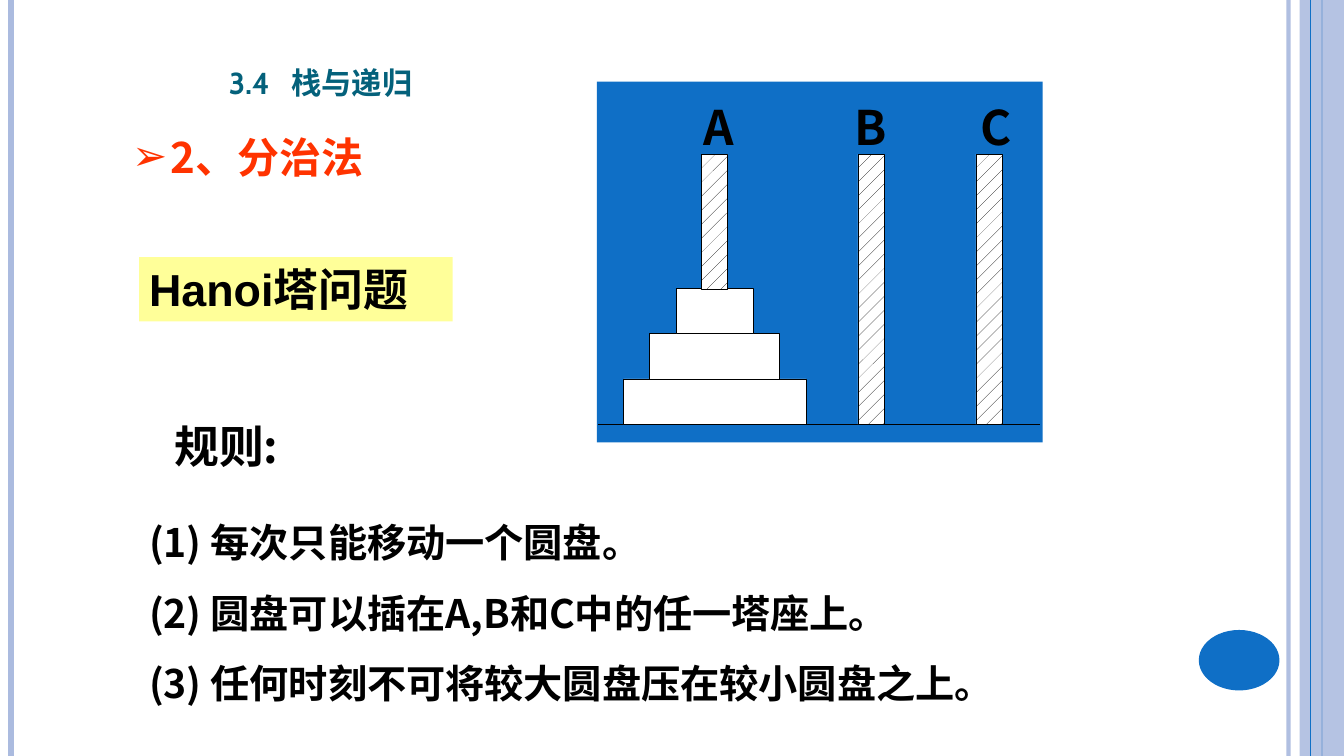
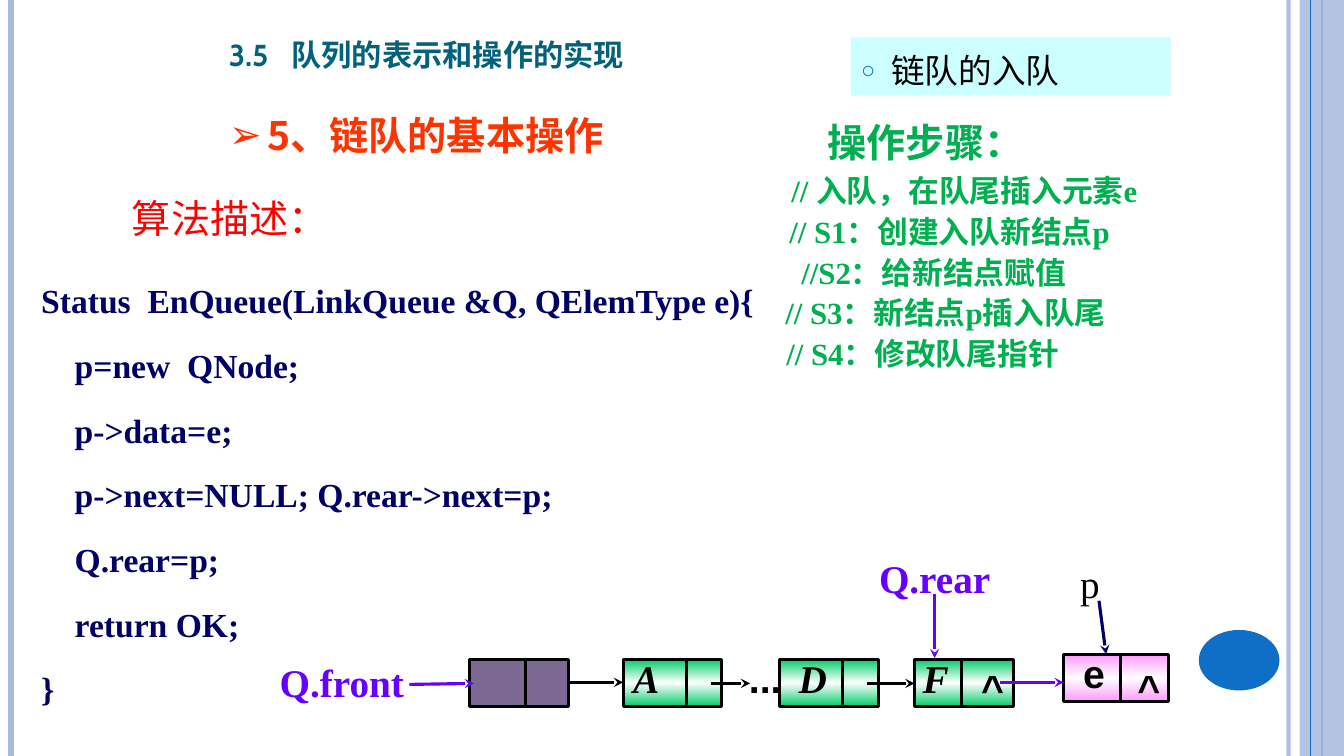
from copy import deepcopy
from dataclasses import dataclass

from lxml.etree import SubElement
from pptx import Presentation
from pptx.dml.color import RGBColor
from pptx.enum.dml import MSO_PATTERN
from pptx.enum.shapes import MSO_CONNECTOR, MSO_SHAPE
from pptx.enum.text import MSO_ANCHOR, MSO_AUTO_SIZE, PP_ALIGN
from pptx.oxml.ns import qn
from pptx.util import Pt

PX = 9144  # 100 px to the inch
WIDTH, HEIGHT = 1333, 750


@dataclass(frozen=True)
class Theme:
    # Colours
    black: str = "000000"
    white: str = "FFFFFF"
    blue: str = "0F6FC6"
    pale_blue: str = "ABBBDF"
    teal: str = "04617B"
    orange: str = "FF3300"
    red: str = "FF0000"
    green: str = "00B050"
    navy: str = "000066"
    violet: str = "6600FF"
    yellow: str = "FFFF99"
    cyan: str = "CCFFFF"
    head_node: str = "7B6993"
    data_node: str = "00CC66"
    new_node: str = "FF99FF"
    # Fonts
    cabin: str = "Cabin"
    cjk: str = "Noto Sans CJK SC"
    serif: str = "Times New Roman"
    sans: str = "Arial"
    # Type sizes
    peg: int = 34
    banner: int = 32
    topic: int = 30
    label: int = 28
    title: int = 27
    code: int = 24
    step: int = 22


T = Theme()
INSETS = (10, 5, 10, 5)


def px(*values):
    return [round(v * PX) for v in values]


def style(name, size, color, bold=True, italic=False):
    return dict(name=name, size=Pt(size), bold=bold, italic=italic), color


def apply(target, values):
    for key, value in values.items():
        setattr(target, key, value)


# Text
def write(sp, lines, look, align=PP_ALIGN.LEFT, spacing=1.0, before=0,
          insets=INSETS, anchor=MSO_ANCHOR.TOP):
    tf = sp.text_frame
    sides = ("margin_left", "margin_top", "margin_right", "margin_bottom")
    apply(tf, dict(zip(sides, px(*insets))))
    apply(tf, dict(word_wrap=True, auto_size=MSO_AUTO_SIZE.NONE,
                   vertical_anchor=anchor))
    font, color = look
    for i, line in enumerate(lines):
        p = tf.add_paragraph() if i else tf.paragraphs[0]
        apply(p, dict(alignment=align, line_spacing=spacing,
                      space_before=Pt(before if i else 0)))
        r = p.add_run()
        r.text = line
        apply(r.font, font)
        r.font.color.rgb = RGBColor.from_string(color)
        SubElement(r.font._element, qn("a:ea"), typeface=T.cjk)
    return tf.paragraphs


def text(shapes, box, lines, look, **options):
    sp = shapes.add_textbox(*px(*box))
    return write(sp, lines, look, **options)


def indent(p, left, hang=0):
    pPr = p._p.get_or_add_pPr()
    for key, value in zip(("marL", "indent"), px(left, -hang)):
        pPr.set(key, str(value))
    return pPr


def bullet(p, char, color, hang, percent=100):
    pPr = indent(p, hang, hang)
    SubElement(SubElement(pPr, qn("a:buClr")), qn("a:srgbClr"), val=color)
    SubElement(pPr, qn("a:buSzPct"), val=str(percent * 1000))
    SubElement(pPr, qn("a:buChar"), char=char)


def place(sp, box):
    apply(sp, dict(zip(("left", "top", "width", "height"), px(*box))))


# Shapes and lines
def shape(shapes, box, fill, line=None, kind=MSO_SHAPE.RECTANGLE):
    sp = shapes.add_shape(kind, *px(*box))
    sp.shadow.inherit = False
    sp.fill.solid()
    sp.fill.fore_color.rgb = RGBColor.from_string(fill)
    if line:
        sp.line.color.rgb = RGBColor.from_string(T.black)
        sp.line.width = Pt(line)
    else:
        sp.line.fill.background()
    return sp


def connect(shapes, start, end, color, width, arrow=False):
    sp = shapes.add_connector(MSO_CONNECTOR.STRAIGHT, *px(*start, *end))
    sp.line.color.rgb = RGBColor.from_string(color)
    sp.line.width = Pt(width)
    if arrow:
        SubElement(sp.line._get_or_add_ln(), qn("a:tailEnd"), type="stealth")
    SubElement(sp.element.spPr, qn("a:effectLst"))
    return sp


def set_alpha(sp, percent):
    for color in sp.element.iter(qn("a:srgbClr")):
        SubElement(color, qn("a:alpha"), val=str(percent * 1000))


def glow(sp, edge):
    sp.fill.gradient()
    sp.fill.gradient_angle = 90
    stops = next(sp.element.iter(qn("a:gsLst")))
    stops.append(deepcopy(stops[0]))
    for stop, color, at in zip(sp.fill.gradient_stops,
                               (edge, T.white, edge), (0, 0.5, 1)):
        stop.color.rgb = RGBColor.from_string(color)
        stop.position = at


# Shared frame, kept on the slide master
def master_frame(master, shapes):
    def rule(x, color, width):
        return connect(shapes, (x, 0), (x, HEIGHT), color, width)

    inner = rule(1278, T.pale_blue, 3)
    set_alpha(inner, 93)
    parts = [inner, rule(11, T.pale_blue, 4.5), rule(1311, T.blue, 1.5)]
    band = shape(shapes, (1289, 0, 44, HEIGHT), T.pale_blue)
    set_alpha(band, 87)
    parts += [band, rule(1300, T.blue, 0.75),
              shape(shapes, (1189, 625, 80, 60), T.blue, kind=MSO_SHAPE.OVAL)]
    for number, sp in enumerate(parts, 101):
        next(sp.element.iter(qn("p:cNvPr"))).set("id", str(number))
        master.shapes.element.append(sp.element)


def section_title(slide, top, words):
    sp = slide.shapes.title
    place(sp, (217, top, 817, 61))
    p, = write(sp, [words], style(T.cabin, T.title, T.teal),
               anchor=MSO_ANCHOR.BOTTOM)
    tabs = SubElement(p._p.get_or_add_pPr(), qn("a:tabLst"))
    SubElement(tabs, qn("a:tab"), pos=str(62 * PX), algn="l")
    p.runs[0].font._element.set("cap", "small")


def topic(slide, box, words, size):
    sp = slide.placeholders[1]
    place(sp, box)
    p, = write(sp, [words], style(T.cjk, size, T.orange), spacing=1.2)
    bullet(p, "➢", T.orange, 38)


# Tower drawing
def hanoi_panel(shapes, x, y, w, h):
    shape(shapes, (x, y, w, h), T.blue)
    floor = y + 340
    connect(shapes, (x + 1, floor), (x + w - 2, floor), T.black, 0.5)
    disc_h, centre = 45, 117
    for level, width in enumerate((181, 129, 77), 1):
        shape(shapes, (x + centre - width / 2, floor - level * disc_h,
                       width, disc_h), T.white, 0.5)
    pegs = (("A", 104, 134, 121), ("B", 259, 268, 272), ("C", 376, 268, 396))
    for name, left, height, middle in pegs:
        sp = shape(shapes, (x + left, y + 72, 26, height), T.white, 0.5)
        sp.fill.patterned()
        sp.fill.pattern = MSO_PATTERN.PERCENT_5
        sp.fill.fore_color.rgb = RGBColor.from_string(T.black)
        sp.fill.back_color.rgb = RGBColor.from_string(T.white)
        text(shapes, (x + middle - 30, y + 16, 60, 57), [name],
             style(T.cjk, T.peg, T.black), align=PP_ALIGN.CENTER,
             insets=(0, 0, 0, 0))


def rules(shapes, x, y, w, h):
    text(shapes, (x + 25, y, 200, 64), ["规则:"],
         style(T.cjk, T.banner, T.black))
    text(shapes, (x, y + 76, w, h - 76),
         ["(1) 每次只能移动一个圆盘。",
          "(2) 圆盘可以插在A,B和C中的任一塔座上。",
          "(3) 任何时刻不可将较大圆盘压在较小圆盘之上。"],
         style(T.cjk, T.label, T.black), spacing=1.5)


# Steps and code
def steps(shapes, x, y, w, h):
    lines = (("操作步骤：", 179), ("// 入队，在队尾插入元素e", 143),
             ("// S1：创建入队新结点p", 141), ("//S2：给新结点赋值", 153),
             ("// S3：新结点p插入队尾", 137), ("// S4：修改队尾指针", 138))
    ps = text(shapes, (x, y, w, h), [line for line, _ in lines],
              style(T.serif, T.step, T.green), spacing=1.1)
    for p, (_, left) in zip(ps, lines):
        indent(p, left)
    ps[0].runs[0].font.size = Pt(T.label)
    ps[1].space_before = Pt(2)


def algorithm(shapes, x, y, w, h):
    text(shapes, (x + 79, y, 236, 57), ["算法描述："],
         style(T.serif, T.label, T.red, bold=False), align=PP_ALIGN.CENTER)
    text(shapes, (x, y + 65, w, h - 65),
         ["Status  EnQueue(LinkQueue &Q, QElemType e){",
          "    p=new  QNode;",
          "    p->data=e;",
          "    p->next=NULL; Q.rear->next=p;",
          "    Q.rear=p;",
          "    return OK;",
          "}"],
         style(T.serif, T.code, T.navy), spacing=1.5, before=3)


# Linked queue drawing
def linked_queue(shapes, x, y):
    def node(left, top, width, divider, fill, letter="", inset=0):
        sp = shape(shapes, (x + left, y + top, width, 47), fill, 2.25)
        if fill != T.head_node:
            glow(sp, fill)
        if letter:
            write(sp, [letter], style(T.serif, T.label, T.black, italic=True),
                  spacing=0.9, insets=(inset, 0, 0, 8))
        bar = x + left + divider
        connect(shapes, (bar, y + top), (bar, y + top + 47), T.black, 2.25)

    for left, divider, fill, letter, inset in (
            (194, 55, T.head_node, "", 0), (346, 63, T.data_node, "A", 10),
            (501, 63, T.data_node, "D", 19), (635, 47, T.data_node, "F", 8)):
        node(left, 104, 98, divider, fill, letter, inset)
    node(783, 99, 104, 56, T.new_node)

    for x1, y1, x2, y2, color in (
            (134, 129, 198, 128, T.violet), (293, 127, 346, 127, T.black),
            (433, 128, 472, 128, T.black), (588, 128, 635, 128, T.black),
            (720, 127, 783, 127, T.violet), (655, 39, 655, 103, T.violet),
            (818, 46, 825, 99, T.navy)):
        connect(shapes, (x + x1, y + y1), (x + x2, y + y2), color, 2.25, True)

    pointer = style(T.serif, T.label, T.violet)
    plain = style(T.serif, T.label, T.black, bold=False)
    mark = style(T.sans, T.label, T.black)
    tight, padded = (0, 0, 0, 4), (0, 5, 0, 5)
    for left, top, width, words, look, insets in (
            (0, 103, 134, "Q.front", pointer, tight),
            (588, 0, 134, "Q.rear", pointer, tight),
            (784, 5, 50, "p", plain, tight),
            (792, 89, 42, "e", mark, padded),
            (461, 94, 52, "...", mark, padded),
            (846, 104, 43, "^", mark, padded),
            (691, 104, 43, "^", mark, padded)):
        text(shapes, (x + left, y + top, width, 57), [words], look,
             align=PP_ALIGN.CENTER, insets=insets)


# Slides
def hanoi_slide(slide):
    section_title(slide, 45, "3.4\t栈与递归")
    topic(slide, (121, 115, 1096, 73), "2、分治法", T.topic)
    banner = shape(slide.shapes, (138, 255, 311, 64), T.yellow)
    write(banner, ["Hanoi塔问题"], style(T.sans, T.banner, T.black))
    rules(slide.shapes, 138, 410, 1007, 298)
    hanoi_panel(slide.shapes, 592, 81, 442, 358)


def enqueue_slide(slide):
    section_title(slide, 18, "3.5\t队列的表示和操作的实现")
    topic(slide, (217, 96, 966, 150), "5、链队的基本操作", T.label)
    tag = slide.placeholders[2]
    place(tag, (844, 37, 317, 58))
    tag.fill.solid()
    tag.fill.fore_color.rgb = RGBColor.from_string(T.cyan)
    p, = write(tag, ["链队的入队"],
               style(T.cabin, T.code, T.black, bold=False),
               anchor=MSO_ANCHOR.BOTTOM)
    bullet(p, "○", T.blue, 30, 70)
    steps(slide.shapes, 632, 108, 571, 269)
    algorithm(slide.shapes, 31, 188, 785, 508)
    linked_queue(slide.shapes, 272, 550)


def main():
    prs = Presentation()
    prs.slide_width, prs.slide_height = px(WIDTH, HEIGHT)
    layouts = prs.slide_layouts
    first = prs.slides.add_slide(layouts.get_by_name("Title and Content"))
    master_frame(prs.slide_master, first.shapes)
    hanoi_slide(first)
    enqueue_slide(prs.slides.add_slide(layouts.get_by_name("Two Content")))
    prs.save("out.pptx")


if __name__ == "__main__":
    main()
